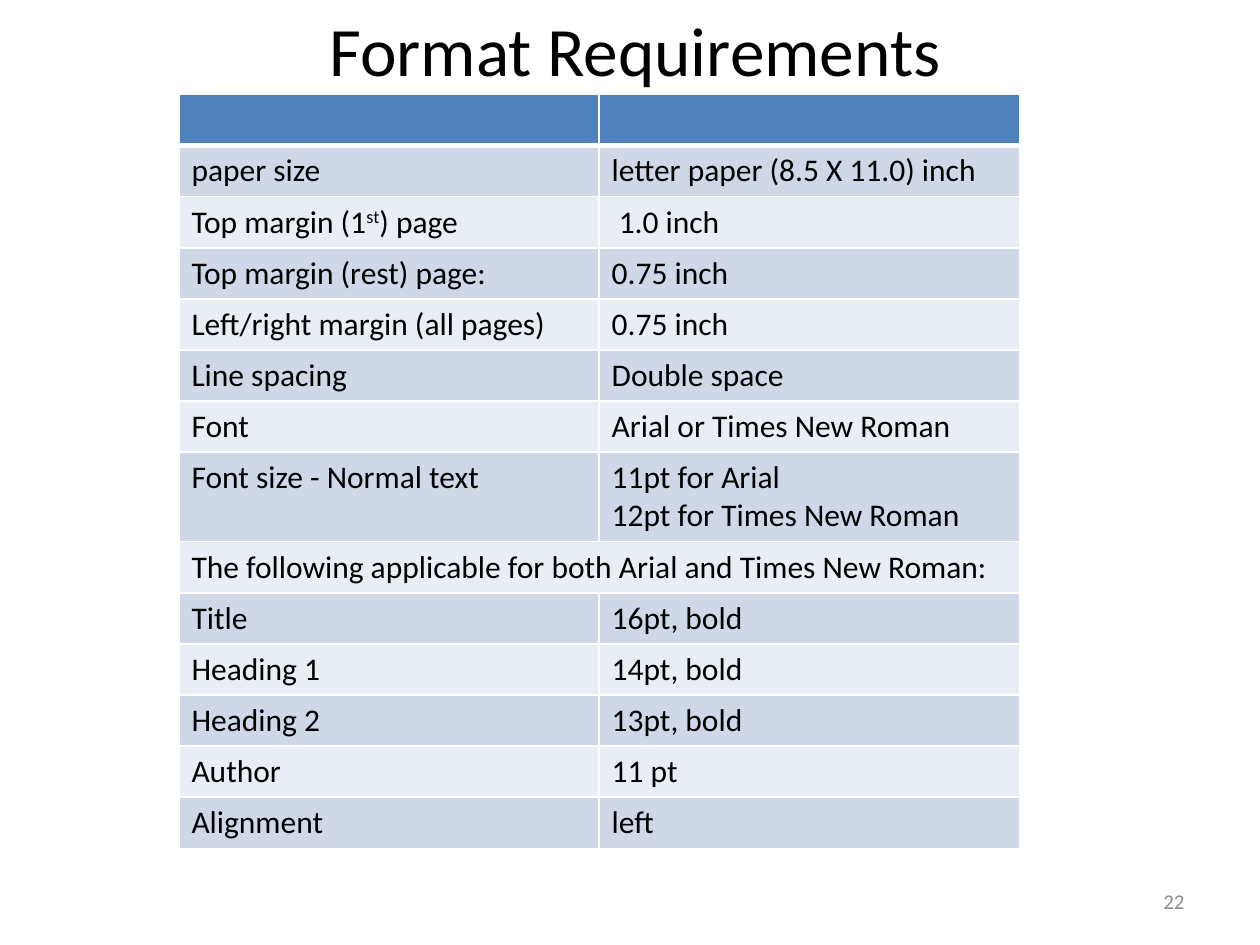
from dataclasses import dataclass

from lxml.etree import SubElement
from pptx import Presentation
from pptx.dml.color import RGBColor as RGB
from pptx.enum.text import MSO_ANCHOR as Anchor, PP_ALIGN as Align
from pptx.oxml.ns import qn
from pptx.util import Inches, Pt


@dataclass(frozen=True)
class Theme:
    font: str = "Calibri"
    ink: str = "000000"
    muted: str = "8C8C8C"
    head: str = "4F81BD"
    bands: tuple = ("D0D8E8", "E9EDF4")
    line: str = "FFFFFF"
    title: float = 39.6
    body: float = 18
    small: float = 12


@dataclass(frozen=True)
class Row:
    label: str = ""
    value: str = ""
    wide: bool = False


@dataclass(frozen=True)
class Label:
    text: str
    box: tuple
    size: float
    color: str
    align: Align


THEME = Theme()
RAISE = "^"  # encloses superscript text
ROWS = [
    Row(),
    Row("paper size", "letter paper (8.5 X 11.0) inch"),
    Row("Top margin (1^st^) page", " 1.0 inch"),
    Row("Top margin (rest) page:", "0.75 inch"),
    Row("Left/right margin (all pages)", "0.75 inch"),
    Row("Line spacing", "Double space"),
    Row("Font", "Arial or Times New Roman"),
    Row("Font size - Normal text", "11pt for Arial\n12pt for Times New Roman"),
    Row("The following applicable for both Arial and Times New Roman:", wide=True),
    Row("Title", "16pt, bold"),
    Row("Heading 1", "14pt, bold"),
    Row("Heading 2", "13pt, bold"),
    Row("Author", "11 pt"),
    Row("Alignment", "left"),
]
LABELS = [
    Label("Format Requirements", (0.5, 0, 9.08, 0.78), THEME.title, THEME.ink, Align.CENTER),
    Label("22", (7.17, 6.95, 2.33, 0.4), THEME.small, THEME.muted, Align.RIGHT),
]
GRID = (1.42, 0.75, 6.67, 5.97)
TALL = 0.7


def style(para, size: float, color: str) -> None:
    font = para.font
    font.name, font.size = THEME.font, Pt(size)
    font.color.rgb = RGB.from_string(color)


def add_label(slide, item: Label) -> None:
    frame = slide.shapes.add_textbox(*map(Inches, item.box)).text_frame
    frame.word_wrap = True
    frame.vertical_anchor = Anchor.MIDDLE
    para = frame.paragraphs[0]
    para.text, para.alignment = item.text, item.align
    style(para, item.size, item.color)


def edge(cell, side: str, width: float) -> None:
    line = SubElement(cell._tc.get_or_add_tcPr(), qn(f"a:ln{side}"), w=str(Pt(width)))
    fill = SubElement(line, qn("a:solidFill"))
    SubElement(fill, qn("a:srgbClr"), val=THEME.line)


def write(cell, text: str) -> None:
    """Fill a cell, one paragraph a line, raising the marked parts."""
    frame = cell.text_frame
    for i, line in enumerate(text.split("\n")):
        para = frame.add_paragraph() if i else frame.paragraphs[0]
        for j, part in enumerate(line.split(RAISE)):
            if part:
                run = para.add_run()
                run.text = part
                if j % 2:
                    run._r.get_or_add_rPr().set("baseline", "30000")
        style(para, THEME.body, THEME.ink)


def add_grid(slide, rows: list[Row]) -> None:
    left, top, width, height = GRID
    table = slide.shapes.add_table(len(rows), 2, *map(Inches, GRID)).table
    tall = sum("\n" in row.value for row in rows)
    low = (height - tall * TALL) / (len(rows) - tall)
    for col in table.columns:
        col.width = Inches(width / 2)
    for i, row in enumerate(rows):
        table.rows[i].height = Inches(TALL if "\n" in row.value else low)
        if row.wide:
            table.cell(i, 0).merge(table.cell(i, 1))
        for j, text in enumerate((row.label, row.value)):
            cell = table.cell(i, j)
            write(cell, text)
            for side in "LRTB":
                thick = (i, side) in ((0, "B"), (1, "T"))
                edge(cell, side, 3 if thick else 1)
            cell.fill.solid()
            tint = THEME.bands[(i - 1) % 2] if i else THEME.head
            cell.fill.fore_color.rgb = RGB.from_string(tint)


def main() -> None:
    deck = Presentation()
    deck.slide_width, deck.slide_height = Inches(10), Inches(7.5)
    slide = deck.slides.add_slide(deck.slide_layouts[6])
    add_grid(slide, ROWS)
    for item in LABELS:
        add_label(slide, item)
    deck.save("out.pptx")


if __name__ == "__main__":
    main()
